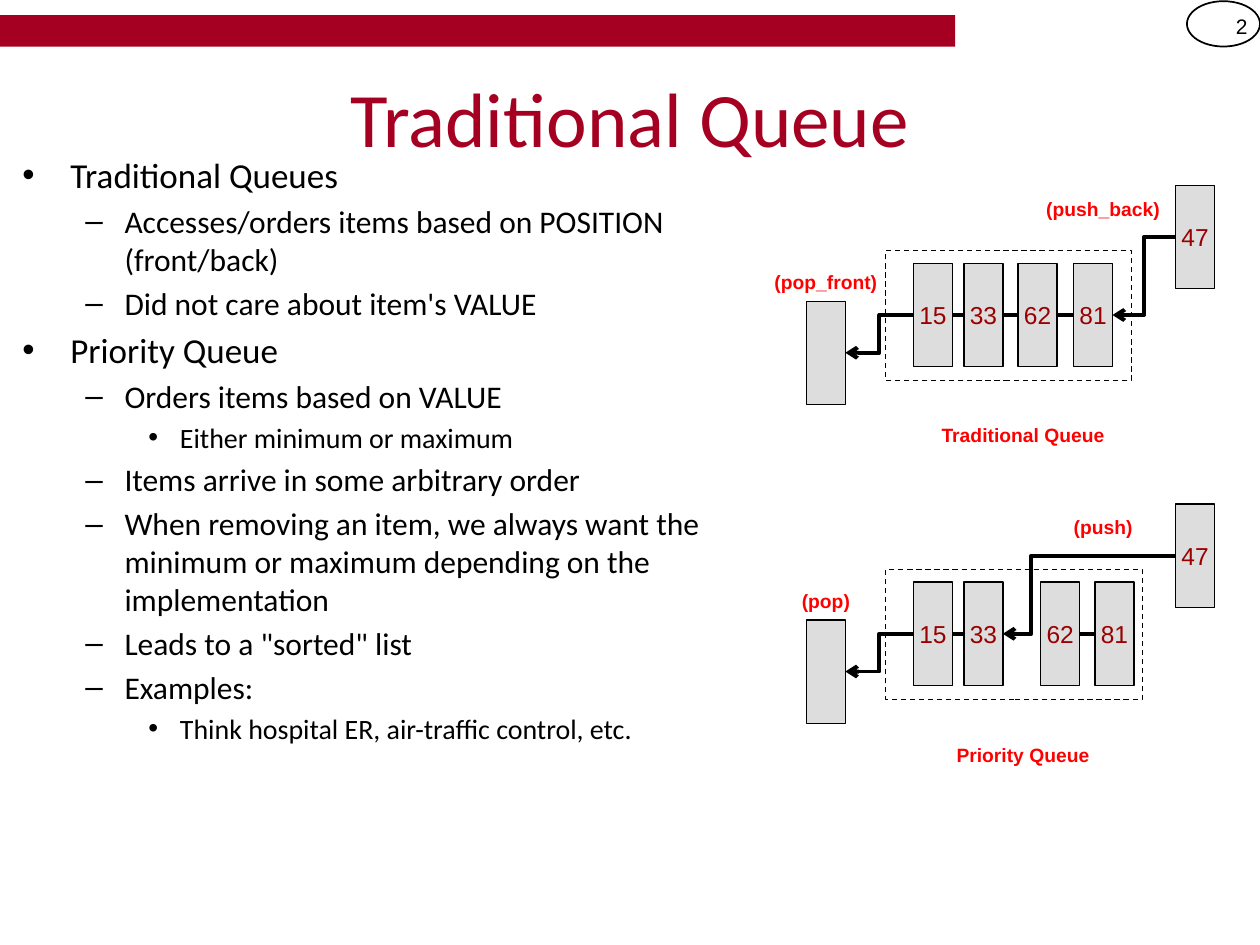
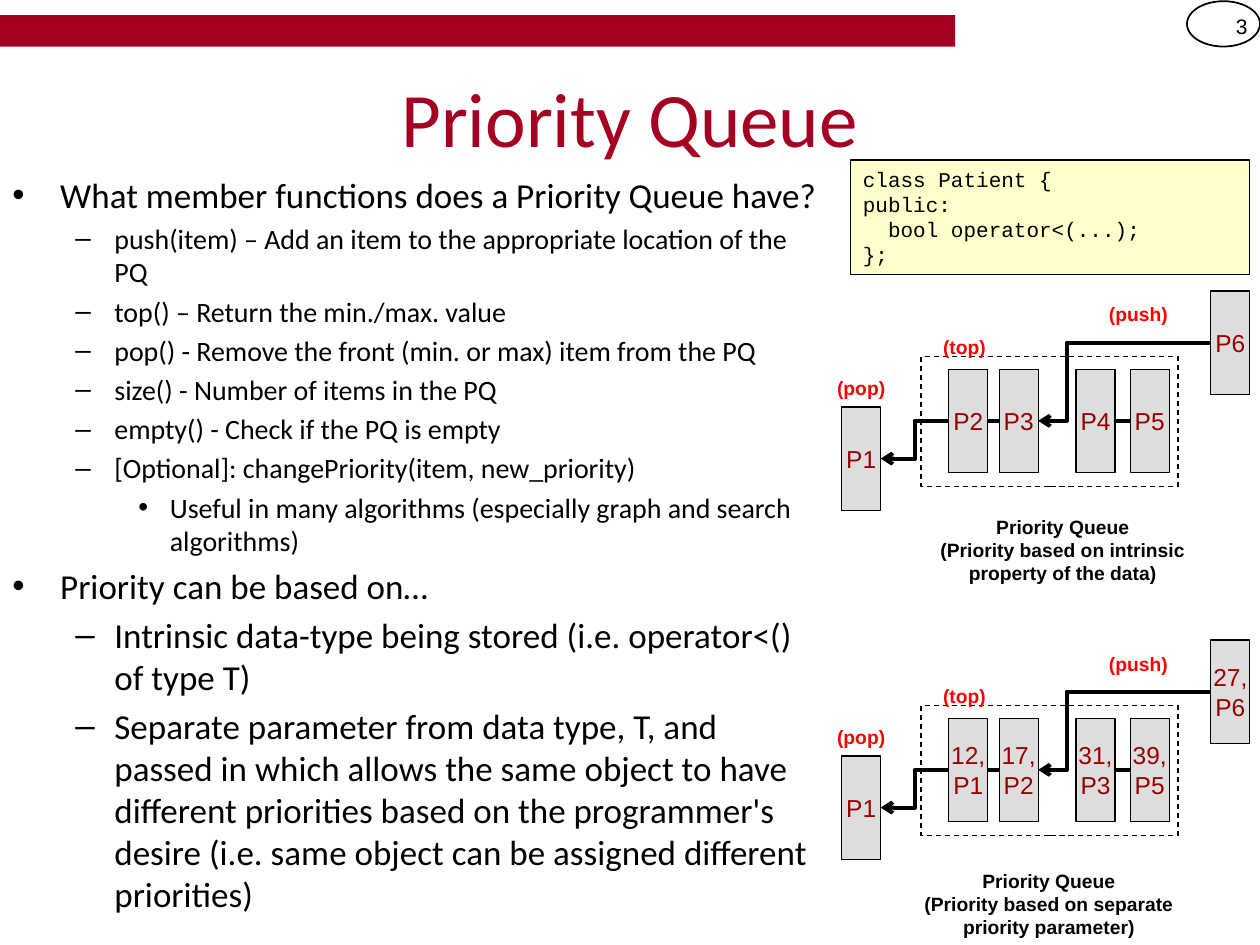
from lxml import etree
from pptx import Presentation
from pptx import util as u
from pptx.dml.color import RGBColor
from pptx.enum import dml, shapes, text
from pptx.oxml import ns

CRIMSON = RGBColor(0xA5, 0x00, 0x21)
MAROON = RGBColor(0x99, 0x00, 0x00)
RED = RGBColor(0xFF, 0x00, 0x00)
BLACK = RGBColor(0x00, 0x00, 0x00)
GRAY = RGBColor(0xDD, 0xDD, 0xDD)
CREAM = RGBColor(0xFF, 0xFF, 0xCC)

LEVELS = [("•", 0.38, 0.38), ("–", 0.81, 0.31), ("•", 1.25, 0.25)]
CELL_W, CELL_H = 0.31, 0.82
FIFO_OFFSETS = [0, 0.4, 0.83, 1.27]
PRIORITY_OFFSETS = [0, 0.4, 1.01, 1.44]
CENTER = text.PP_ALIGN.CENTER


class Deck:
    """Holds the presentation style and draws elements on the current slide."""

    def __init__(self):
        self.prs = Presentation()
        self.prs.slide_width, self.prs.slide_height = u.Inches(10), u.Inches(7.5)
        self.slide = None

    def new_slide(self, title, number):
        self.slide = self.prs.slides.add_slide(self.prs.slide_layouts[6])
        self.label(str(number), 9.42, 0.01, 0.58, 0.4, size=12, color=BLACK,
                   bold=False, align=text.PP_ALIGN.RIGHT)
        self.shape(0, 0.12, 7.58, 0.25, fill=CRIMSON, line=None)
        self.shape(9.42, 0.01, 0.58, 0.36, line=1,
                   kind=shapes.MSO_SHAPE.OVAL)
        self.label(title, 0.5, 0.3, 9, 1.25, size=44, color=CRIMSON,
                   bold=False, font="Calibri")

    def fill_text(self, frame, words, font, size, color, bold=False, align=CENTER):
        frame.word_wrap = True
        frame.text = words
        for paragraph in frame.paragraphs:
            paragraph.alignment = align
            self.style(paragraph, font, size, color, bold)

    def style(self, paragraph, font, size, color, bold=False):
        for run in paragraph.runs:
            run.font.name, run.font.size = font, u.Pt(size)
            run.font.color.rgb, run.font.bold = color, bold

    def label(self, words, x, y, w, h=0.23, size=11, color=RED, bold=True,
              align=CENTER, font="Arial"):
        frame = self.slide.shapes.add_textbox(*map(u.Inches, (x, y, w, h))).text_frame
        frame.vertical_anchor = text.MSO_ANCHOR.MIDDLE
        self.fill_text(frame, words, font, size, color, bold, align)

    def shape(self, x, y, w, h, fill=None, line=0.75,
              kind=shapes.MSO_SHAPE.RECTANGLE):
        drawn = self.slide.shapes.add_shape(kind, *map(u.Inches, (x, y, w, h)))
        drawn.shadow.inherit = False
        if fill is None:
            drawn.fill.background()
        else:
            drawn.fill.solid()
            drawn.fill.fore_color.rgb = fill
        if line is None:
            drawn.line.fill.background()
        else:
            drawn.line.color.rgb, drawn.line.width = BLACK, u.Pt(line)
        return drawn

    def cell(self, words, x, y):
        box = self.shape(x, y, CELL_W, CELL_H, fill=GRAY)
        if words:
            frame = box.text_frame
            frame.margin_left = frame.margin_right = 0
            frame.vertical_anchor = text.MSO_ANCHOR.MIDDLE
            self.fill_text(frame, words, "Arial", 14, MAROON)

    def link(self, start, end, bend=None):
        kind = shapes.MSO_CONNECTOR.STRAIGHT if bend is None else shapes.MSO_CONNECTOR.ELBOW
        wire = self.slide.shapes.add_connector(kind, *map(u.Inches, start + end))
        wire.line.color.rgb, wire.line.width = BLACK, u.Pt(2.25)
        properties = wire._element.spPr
        etree.SubElement(properties, ns.qn("a:effectLst"))
        if bend is not None:
            outline = properties.find(ns.qn("a:ln"))
            etree.SubElement(outline, ns.qn("a:tailEnd"), type="arrow")
            geometry = properties.find(ns.qn("a:prstGeom"))
            guides = geometry.find(ns.qn("a:avLst"))
            if guides is None:
                guides = etree.SubElement(geometry, ns.qn("a:avLst"))
            etree.SubElement(guides, ns.qn("a:gd"), name="adj1",
                             fmla=f"val {round(bend * 100000)}")

    def outline(self, x, y, w, h, items):
        frame = self.slide.shapes.add_textbox(*map(u.Inches, (x, y, w, h))).text_frame
        frame.word_wrap = True
        for index, (level, size, words) in enumerate(items):
            paragraph = frame.add_paragraph() if index else frame.paragraphs[0]
            paragraph.text, paragraph.level = words, level
            bullet, indent, hanging = LEVELS[level]
            properties = paragraph._p.get_or_add_pPr()
            properties.set("marL", str(u.Inches(indent)))
            properties.set("indent", str(-u.Inches(hanging)))
            etree.SubElement(properties, ns.qn("a:buFont"), typeface="Arial")
            etree.SubElement(properties, ns.qn("a:buChar"), char=bullet)
            if index:
                paragraph.space_before = u.Pt(size * 0.2)
            self.style(paragraph, "Calibri", size, BLACK)

    def code(self, words, x, y, w, h):
        frame = self.shape(x, y, w, h, fill=CREAM).text_frame
        frame.vertical_anchor = text.MSO_ANCHOR.TOP
        self.fill_text(frame, words, "Courier New", 12, BLACK, align=text.PP_ALIGN.LEFT)

    def queue(self, x, y, queued, arriving, leaving="", offsets=PRIORITY_OFFSETS,
              after=1, frame_w=2.04, bend=0.835, push="(push)", pop="(pop)", top=""):
        middle = y + CELL_H / 2
        for words, offset in zip(queued, offsets):
            self.cell(words, x + offset, y)
        for left, right in zip(offsets, offsets[1:]):
            if right - left - CELL_W < 0.2:
                self.link((x + left + CELL_W, middle), (x + right, middle))
        self.cell(arriving, x + 2.08, y - 0.62)
        frame = self.shape(x - 0.22, y - 0.1, frame_w, 1.03)
        frame.line.dash_style = dml.MSO_LINE.DASH
        self.link((x + 2.08, middle - 0.62),
                  (x + offsets[after] + CELL_W, middle), bend)
        self.label(push, x + 0.93, y - 0.55, 1.15)
        self.cell(leaving, x - 0.85, y + 0.3)
        self.link((x, middle), (x - 0.85 + CELL_W, middle + 0.3), 0.5)
        self.label(pop, x - 1.28, y + 0.03, 1.17)
        if top:
            self.label(top, x - 0.46, y - 0.29, 1.17)


def main():
    deck = Deck()

    deck.new_slide("Traditional Queue", 2)
    deck.outline(0.08, 1.17, 6.08, 5.83, [
        (0, 20, "Traditional Queues"),
        (1, 18, "Accesses/orders items based on POSITION (front/back)"),
        (1, 18, "Did not care about item's VALUE"),
        (0, 20, "Priority Queue"),
        (1, 18, "Orders items based on VALUE"),
        (2, 16, "Either minimum or maximum"),
        (1, 18, "Items arrive in some arbitrary order"),
        (1, 18, "When removing an item, we always want the minimum or maximum "
                "depending on the implementation"),
        (1, 18, "Leads to a \"sorted\" list"),
        (1, 18, "Examples:"),
        (2, 16, "Think hospital ER, air-traffic control, etc."),
    ])
    numbers = ["15", "33", "62", "81"]
    deck.queue(7.25, 2.09, numbers, "47", offsets=FIFO_OFFSETS, after=3,
               frame_w=1.95, bend=0.5, push="(push_back)", pop="(pop_front)")
    deck.label("Traditional Queue", 7.22, 3.34, 1.8)
    deck.queue(7.25, 4.62, numbers, "47")
    deck.label("Priority Queue", 7.22, 5.88, 1.8)

    deck.new_slide("Priority Queue", 3)
    deck.outline(0, 1.33, 6.6, 5.58, [
        (0, 20, "What member functions does a Priority Queue have?"),
        (1, 16, "push(item) – Add an item to the appropriate location of the PQ"),
        (1, 16, "top() – Return the min./max. value"),
        (1, 16, "pop() - Remove the front (min. or max) item from the PQ"),
        (1, 16, "size() - Number of items in the PQ"),
        (1, 16, "empty() - Check if the PQ is empty"),
        (1, 16, "[Optional]: changePriority(item, new_priority)"),
        (2, 16, "Useful in many algorithms (especially graph and search algorithms)"),
        (0, 20, "Priority can be based on…"),
        (1, 20, "Intrinsic data-type being stored (i.e. operator<() of type T)"),
        (1, 20, "Separate parameter from data type, T, and passed in which allows "
                "the same object to have different priorities based on the "
                "programmer's desire (i.e. same object can be assigned different "
                "priorities)"),
    ])
    deck.queue(7.53, 2.93, ["P2", "P3", "P4", "P5"], "P6", "P1", top="(top)")
    deck.label("Priority Queue\v(Priority based on intrinsic property of the data)",
               7.31, 4.09, 2.25, 0.55, color=BLACK)
    deck.queue(7.53, 5.7, ["12,\nP1", "17,\nP2", "31,\nP3", "39,\nP5"],
               "27,\nP6", "P1", top="(top)")
    deck.code("class Patient {\npublic:\n  bool operator<(...);\n};",
              6.75, 1.27, 3.17, 0.91)
    deck.label("Priority Queue\v(Priority based on separate priority parameter)",
               7.2, 6.9, 2.25, 0.55, color=BLACK)

    deck.prs.save("out.pptx")


if __name__ == "__main__":
    main()
